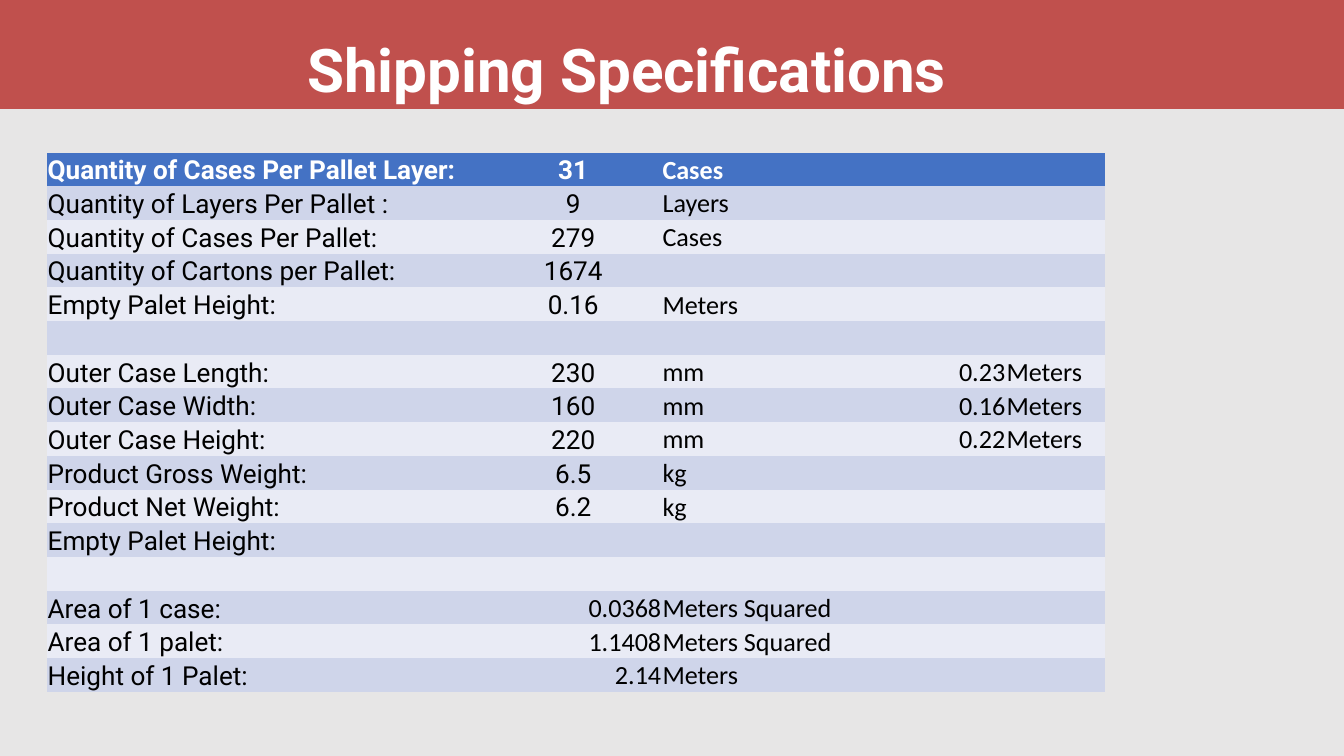
from pptx import Presentation
from pptx.dml.color import RGBColor
from pptx.enum.shapes import MSO_SHAPE
from pptx.enum.text import MSO_ANCHOR, MSO_AUTO_SIZE, PP_ALIGN
from pptx.util import Inches, Pt

BACKGROUND = RGBColor(0xE7, 0xE6, 0xE6)
BANNER = RGBColor(0xC0, 0x50, 0x4D)
HEADER = RGBColor(0x44, 0x72, 0xC4)
BANDS = [RGBColor(0xE9, 0xEB, 0xF5), RGBColor(0xCF, 0xD5, 0xEA)]
WHITE = RGBColor(0xFF, 0xFF, 0xFF)
BLACK = RGBColor(0x00, 0x00, 0x00)

LEFT, CENTER, RIGHT = PP_ALIGN.LEFT, PP_ALIGN.CENTER, PP_ALIGN.RIGHT
COLUMN_WIDTHS = [6.51, 2.64, 3.28, 1.84, 1.48]
ROW_HEIGHT = 8.03 / 16
ROWS = [
    ["Quantity of Cases Per Pallet Layer:", "31", "Cases"],
    ["Quantity of Layers Per Pallet :", "9", "Layers"],
    ["Quantity of Cases Per Pallet:", "279", "Cases"],
    ["Quantity of Cartons per Pallet:", "1674"],
    ["Empty Palet Height:", "0.16", "Meters"],
    [],
    ["Outer Case Length:", "230", "mm", "0.23", "Meters"],
    ["Outer Case Width:", "160", "mm", "0.16", "Meters"],
    ["Outer Case Height:", "220", "mm", "0.22", "Meters"],
    ["Product Gross Weight:", "6.5", "kg"],
    ["Product Net Weight:", "6.2", "kg"],
    ["Empty Palet Height:"],
    [],
    ["Area of 1 case:", "0.0368", "Meters Squared"],
    ["Area of 1 palet:", "1.1408", "Meters Squared"],
    ["Height of 1 Palet:", "2.14", "Meters"],
]
FIRST_RESULT_ROW = 13


def write_text(text_frame, text, *, font, size, color, bold=False, align=LEFT):
    paragraph = text_frame.paragraphs[0]
    paragraph.alignment = align
    run = paragraph.add_run()
    run.text = text
    run.font.name = font
    run.font.size = Pt(size)
    run.font.bold = bold
    run.font.color.rgb = color
    return paragraph


presentation = Presentation()
presentation.slide_width = Inches(20)
presentation.slide_height = Inches(11.25)
slide = presentation.slides.add_slide(presentation.slide_layouts[5])
slide.background.fill.solid()
slide.background.fill.fore_color.rgb = BACKGROUND

# Banner
banner = slide.shapes.add_shape(
    MSO_SHAPE.RECTANGLE, Inches(-0.09), 0, Inches(20.37), Inches(1.62))
banner.shadow.inherit = False
banner.fill.solid()
banner.fill.fore_color.rgb = BANNER
banner.line.fill.background()

# Title, brought in front of the banner
title = slide.shapes.title
title.element.getparent().append(title.element)
title.left, title.top = Inches(4.57), Inches(0.47)
title.width, title.height = Inches(15.89), Inches(1.05)
frame = title.text_frame
frame.margin_left = frame.margin_right = frame.margin_top = frame.margin_bottom = 0
frame.vertical_anchor = MSO_ANCHOR.TOP
frame.word_wrap = True
frame.auto_size = MSO_AUTO_SIZE.SHAPE_TO_FIT_TEXT
paragraph = write_text(frame, "Shipping Specifications", font="Roboto",
                       size=64.5, color=WHITE, bold=True)
paragraph.line_spacing = Pt(78)
paragraph.space_before = Pt(0)

# Specification table
table = slide.shapes.add_table(
    len(ROWS), len(COLUMN_WIDTHS), Inches(0.7), Inches(2.27),
    Inches(sum(COLUMN_WIDTHS)), Inches(ROW_HEIGHT * len(ROWS))).table
for column, width in zip(table.columns, COLUMN_WIDTHS):
    column.width = Inches(width)

for row_index, values in enumerate(ROWS):
    table.rows[row_index].height = Inches(ROW_HEIGHT)
    is_header = row_index == 0
    is_result = row_index >= FIRST_RESULT_ROW
    alignments = [LEFT, RIGHT if is_result else CENTER, LEFT, RIGHT, LEFT]
    fonts = ["Roboto", "Calibri" if is_result else "Roboto"] + ["Calibri"] * 3

    for column_index in range(len(COLUMN_WIDTHS)):
        cell = table.cell(row_index, column_index)
        cell.fill.solid()
        cell.fill.fore_color.rgb = HEADER if is_header else BANDS[row_index % 2]
        cell.vertical_anchor = MSO_ANCHOR.BOTTOM
        cell.margin_left = cell.margin_right = cell.margin_top = Inches(0.01)
        cell.margin_bottom = 0
        if column_index < len(values):
            write_text(cell.text_frame, values[column_index],
                       font=fonts[column_index], size=28,
                       color=WHITE if is_header else BLACK,
                       bold=is_header, align=alignments[column_index])

# The table style draws white rules; a plain style leaves only the fills
style_id = table._tbl.tblPr.find(
    "{http://schemas.openxmlformats.org/drawingml/2006/main}tableStyleId")
style_id.text = "{2D5ABB26-0587-4C30-8999-92F81FD0307C}"

presentation.save("out.pptx")
